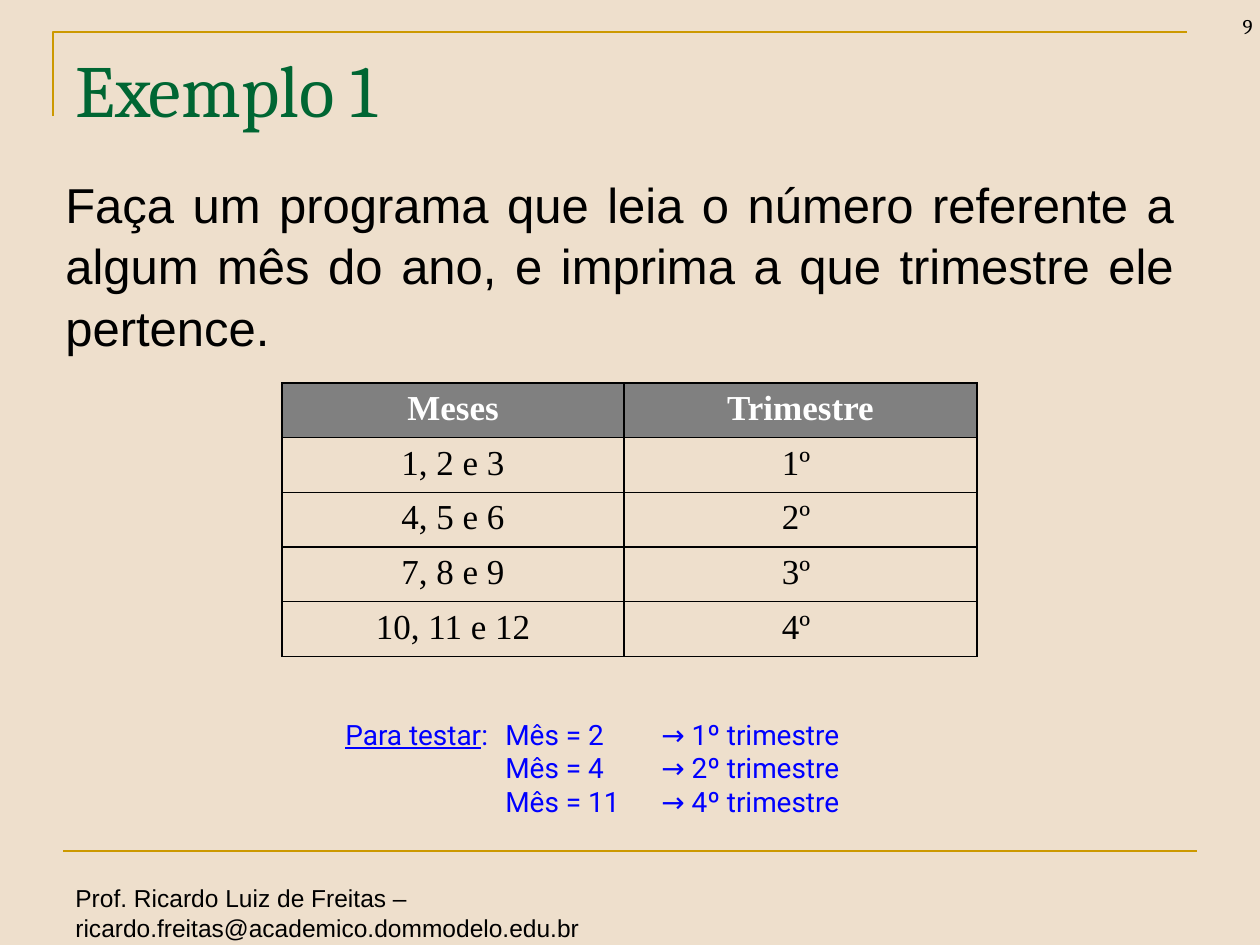
from lxml import etree
from pptx import Presentation, util as u
from pptx.dml.color import RGBColor
from pptx.enum import shapes, text
from pptx.oxml.ns import qn

SCALE = 914400 / 126
BG = RGBColor(0xEE, 0xDF, 0xCC)
GOLD = RGBColor(0xCC, 0x99, 0x00)
GREEN = RGBColor(0x00, 0x66, 0x33)
GRAY = RGBColor(0x80, 0x80, 0x80)
BLUE = RGBColor(0x00, 0x00, 0xFF)
BLACK = RGBColor(0, 0, 0)
WHITE = RGBColor(0xFF, 0xFF, 0xFF)
ALIGN = text.PP_ALIGN


def px(n):
    return u.Emu(round(n * SCALE))


def style(p, font, size, color, align=ALIGN.LEFT, bold=False):
    p.alignment = align
    for r in p.runs:
        f = r.font
        f.name, f.size, f.bold = font, u.Pt(size), bold
        f.color.rgb = color


def add_text(s, box, lines, font, size, color, align=ALIGN.LEFT,
             anchor=text.MSO_ANCHOR.TOP, wrap=True):
    tf = s.shapes.add_textbox(*map(px, box)).text_frame
    tf.word_wrap = wrap
    tf.vertical_anchor = anchor
    tf.text = lines
    for p in tf.paragraphs:
        style(p, font, size, color, align)
    return tf


def add_frame(s, box):
    """Gold corner at the top and gold rule above the footer."""
    x, y, w, h = box
    fb = s.shapes.build_freeform(x, y + 84, SCALE)
    fb.add_line_segments([(x, y), (x + w, y)], close=False)
    corner = fb.convert_to_shape()
    corner.fill.background()
    corner.shadow.inherit = False
    rule = s.shapes.add_connector(shapes.MSO_CONNECTOR.STRAIGHT, px(x + 10),
                                  px(y + h), px(x + w + 10), px(y + h))
    etree.SubElement(rule.line._get_or_add_ln().getparent(), qn("a:effectLst"))
    for sp in (corner, rule):
        sp.line.color.rgb = GOLD
        sp.line.width = u.Pt(1.5)


def add_borders(cell):
    tcPr = cell._tc.get_or_add_tcPr()
    for i, side in enumerate(("lnL", "lnR", "lnT", "lnB")):
        ln = etree.Element(qn("a:" + side), w=str(u.Pt(1)))
        fill = etree.SubElement(ln, qn("a:solidFill"))
        etree.SubElement(fill, qn("a:srgbClr"), val=str(BLACK))
        tcPr.insert(i, ln)


def add_quarters(s, x, y, widths, row_height, rows):
    """Table of months and quarters."""
    table = s.shapes.add_table(len(rows), len(widths), px(x), px(y),
                               px(sum(widths)), px(row_height * len(rows))).table
    for col, width in zip(table.columns, widths):
        col.width = px(width)
    for i, row in enumerate(rows):
        head = i == 0
        for j, value in enumerate(row):
            cell = table.cell(i, j)
            cell.text = value
            style(cell.text_frame.paragraphs[0], "Times New Roman", 20,
                  WHITE if head else BLACK, ALIGN.CENTER, head)
            if head:
                cell.fill.solid()
                cell.fill.fore_color.rgb = GRAY
            else:
                cell.fill.background()
            add_borders(cell)


def add_tests(s, box, label, cases, stops):
    """Test cases, lined up by tab stops."""
    lines = "\n".join(f"\t{month}\t→ {quarter}" for month, quarter in cases)
    tf = add_text(s, box, lines, "Roboto", 16, BLUE)
    first = tf.paragraphs[0]
    rest = first.text
    first.text = label
    first.add_run().text = ":" + rest
    style(first, "Roboto", 16, BLUE)
    first.runs[0].font.underline = True
    for p in tf.paragraphs:
        tabs = etree.SubElement(p._p.get_or_add_pPr(), qn("a:tabLst"))
        for stop in stops:
            etree.SubElement(tabs, qn("a:tab"), pos=str(px(stop)), algn="l")


prs = Presentation()
prs.slide_width, prs.slide_height = px(1260), px(945)
s = prs.slides.add_slide(prs.slide_layouts[6])
s.background.fill.solid()
s.background.fill.fore_color.rgb = BG

# Footer and frame
add_text(s, (63, 877, 864, 43),
         "Prof. Ricardo Luiz de Freitas – ricardo.freitas@academico.dommodelo.edu.br",
         "Arial", 14, BLACK, wrap=False)
add_frame(s, (53, 32, 1134, 819))

# Title, table and page number
add_text(s, (63, 38, 1134, 158), "Exemplo 1", "Cambria", 42, GREEN)
add_quarters(s, 282, 383, (342, 353), 51, [
    ("Meses", "Trimestre"),
    ("1, 2 e 3", "1º "),
    ("4, 5 e 6", "2º "),
    ("7, 8 e 9", "3º "),
    ("10, 11 e 12", "4º "),
])
add_text(s, (1171, -18, 94, 63), "9", "Cambria", 12, BLACK,
         ALIGN.RIGHT, text.MSO_ANCHOR.BOTTOM)

# Task and test cases
task = add_text(s, (53, 165, 1133, 198),
                "Faça um programa que leia o número referente a algum mês do ano, "
                "e imprima a que trimestre ele pertence.",
                "Arial", 28, BLACK, ALIGN.JUSTIFY)
task.paragraphs[0].line_spacing = 1.05
add_tests(s, (333, 711, 675, 115), "Para testar", [
    ("Mês = 2", "1º trimestre"),
    ("Mês = 4", "2º trimestre"),
    ("Mês = 11", "4º trimestre"),
], (160, 316))

prs.save("out.pptx")
